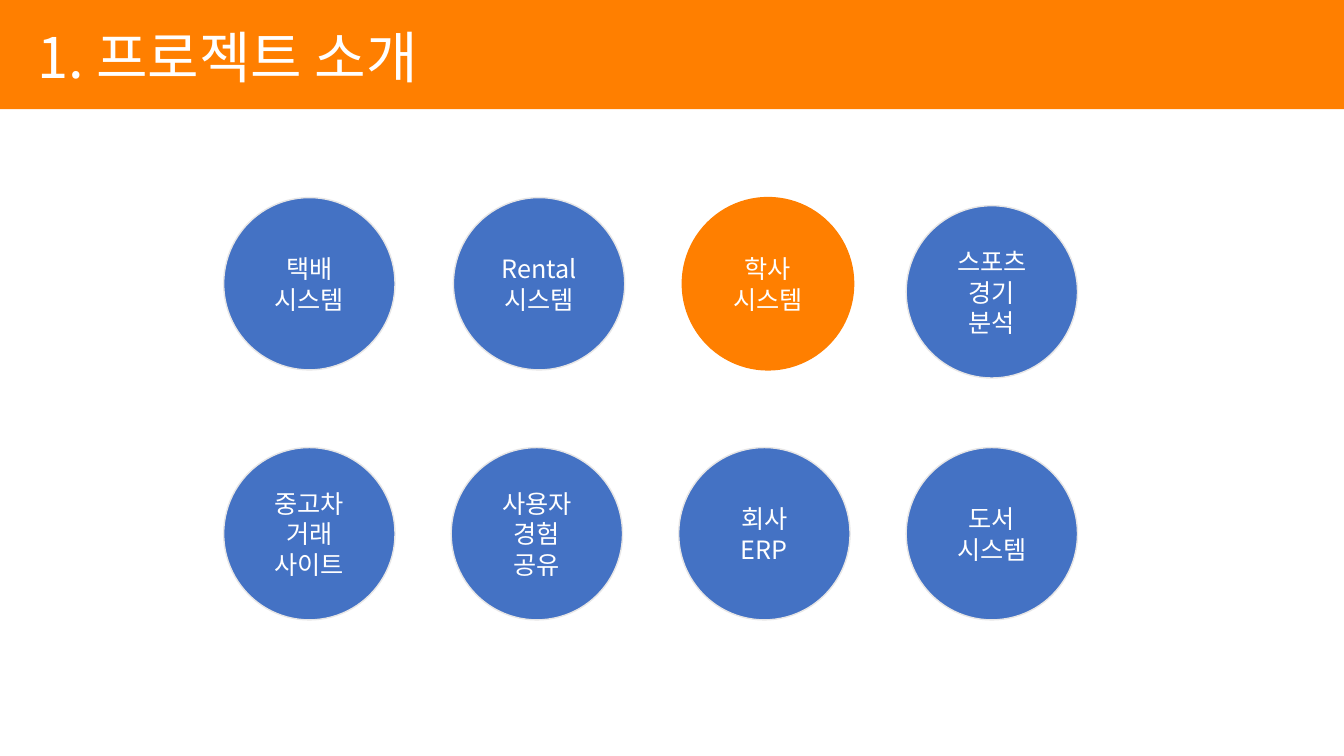
from dataclasses import dataclass

from lxml.etree import SubElement
from pptx import Presentation
from pptx.dml.color import RGBColor
from pptx.enum.shapes import MSO_SHAPE as Shape
from pptx.enum.text import MSO_ANCHOR as Anchor, MSO_AUTO_SIZE as AutoSize, PP_ALIGN as Align
from pptx.oxml.ns import qn
from pptx.util import Pt

COLORS = {"orange": "FF7F00", "blue": "4472C4", "outline": "E7E6E6", "white": "FFFFFF"}
FONT = "Noto Sans CJK KR"
LEFT, COLUMN_STEP = 159.8, 162.5
ROW_TOPS = (141.1, 319.7)
WIDTH, HEIGHT = 122.4, 123.1
LINE_FACTOR = 1.21


@dataclass(frozen=True)
class Topic:
    """A project idea in a circle, with its grid cell and small offsets."""

    text: str
    row: int
    column: int
    shift_x: float = 0
    shift_y: float = 0
    fill: str = "blue"
    outline: str = "outline"


TOPICS = (
    Topic("택배\n시스템", 0, 0),
    Topic("Rental 시스템", 0, 1, shift_x=1.6),
    Topic("중고차 거래 사이트", 1, 0),
    Topic("사용자\n경험\n공유", 1, 1),
    Topic("스포츠\n경기\n분석", 0, 3, shift_y=5.8),
    Topic("학사\n시스템", 0, 2, shift_x=2.6, fill="orange", outline="orange"),
    Topic("회사\nERP", 1, 2),
    Topic("도서\n시스템", 1, 3),
)


def color(name: str) -> RGBColor:
    """Return the named colour."""
    return RGBColor.from_string(COLORS[name])


def write_text(shape, text: str, size: float, align: Align) -> None:
    """Write white text, centred vertically, into a shape."""
    frame = shape.text_frame
    frame.text = text
    frame.word_wrap = True
    frame.auto_size = AutoSize.NONE
    frame.vertical_anchor = Anchor.MIDDLE
    for para in frame.paragraphs:
        para.alignment = align
        para.line_spacing = Pt(round(size * LINE_FACTOR, 1))
        for span in para.runs:
            span.font.size = Pt(size)
            span.font.name = FONT
            span.font.color.rgb = color("white")
            SubElement(span.font._element, qn("a:ea"), typeface=FONT)


def add_title(page, text: str, page_width: int) -> None:
    """Place the title on an orange band."""
    band = page.shapes.add_shape(Shape.RECTANGLE, 0, Pt(-2.9), page_width, Pt(80.9))
    band.shadow.inherit = False
    band.fill.solid()
    band.fill.fore_color.rgb = color("orange")
    band.line.fill.background()
    title = page.shapes.title
    title.element.addprevious(band.element)
    title.left, title.top, title.width, title.height = Pt(19.4), Pt(12.2), Pt(627.8), Pt(55.4)
    write_text(title, text, 40, Align.LEFT)


def add_topic(page, topic: Topic) -> None:
    """Draw one topic circle in its grid cell."""
    left = LEFT + topic.column * COLUMN_STEP + topic.shift_x
    top = ROW_TOPS[topic.row] + topic.shift_y
    circle = page.shapes.add_shape(Shape.OVAL, Pt(left), Pt(top), Pt(WIDTH), Pt(HEIGHT))
    circle.shadow.inherit = False
    circle.fill.solid()
    circle.fill.fore_color.rgb = color(topic.fill)
    circle.line.color.rgb = color(topic.outline)
    circle.line.width = Pt(1)
    write_text(circle, topic.text, 18, Align.CENTER)


def main() -> None:
    """Build and save the deck."""
    deck = Presentation()
    deck.slide_width, deck.slide_height = Pt(960), Pt(540)
    page = deck.slides.add_slide(deck.slide_layouts.get_by_name("Title Only"))
    add_title(page, "1. 프로젝트 소개", deck.slide_width)
    for topic in TOPICS:
        add_topic(page, topic)
    deck.save("out.pptx")


if __name__ == "__main__":
    main()
